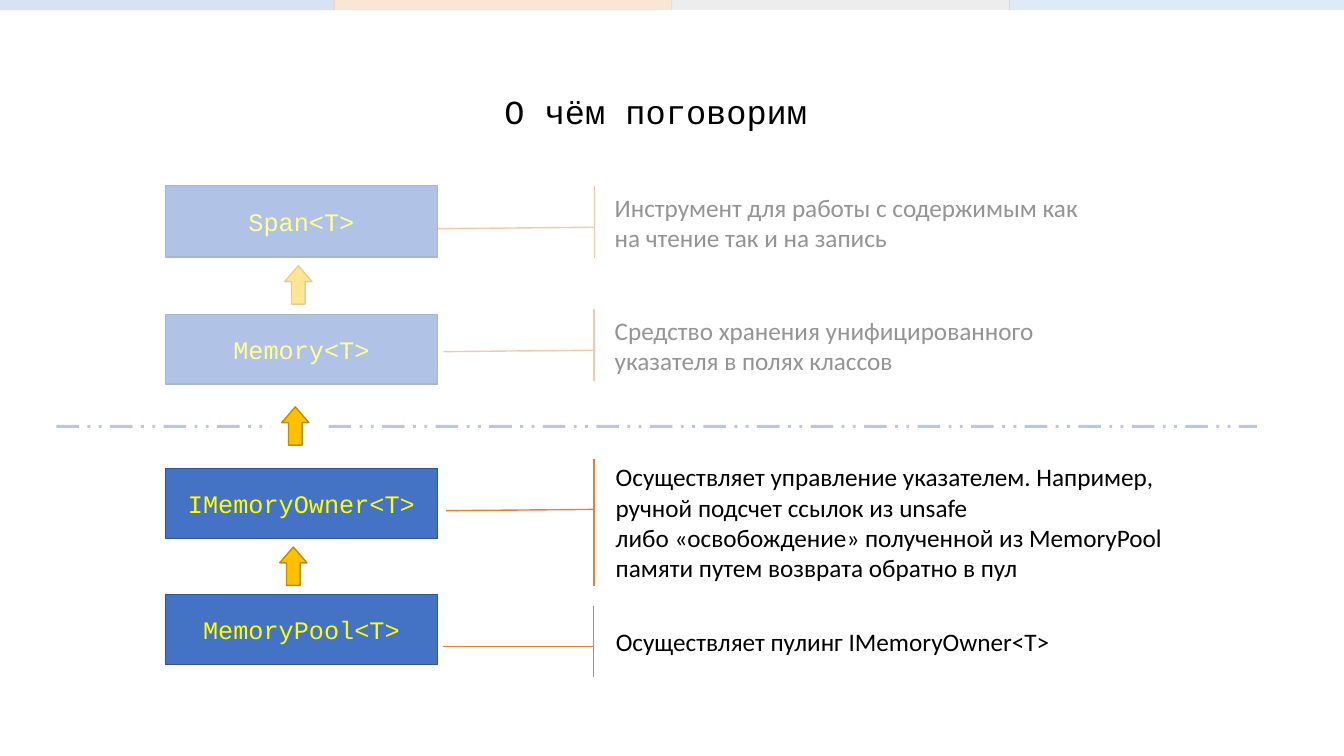
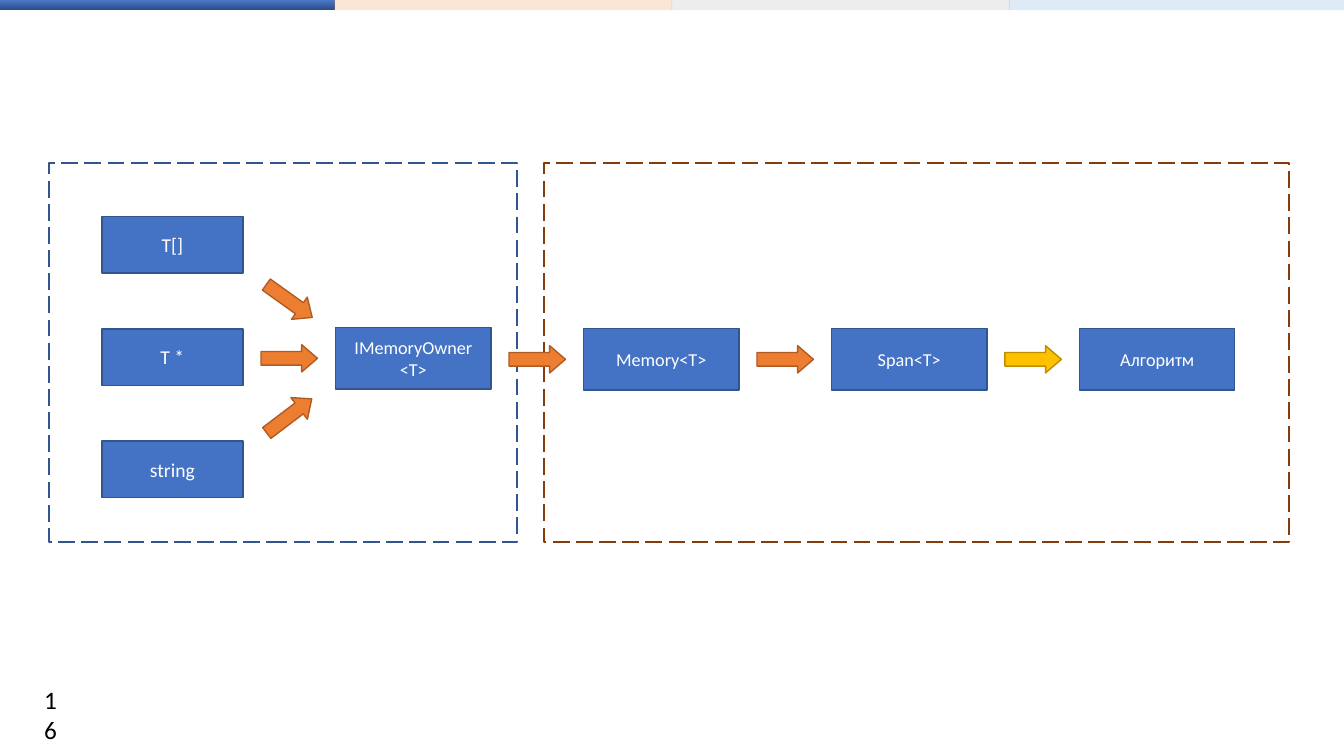
import copy
from dataclasses import dataclass

import pptx
import pptx.dml.color
import pptx.enum.dml
import pptx.enum.shapes
import pptx.enum.text
import pptx.oxml.ns
import pptx.util
from lxml import etree

SHAPE = pptx.enum.shapes.MSO_SHAPE
ALIGN = pptx.enum.text.PP_ALIGN
ANCHOR = pptx.enum.text.MSO_ANCHOR
DASH = pptx.enum.dml.MSO_LINE
qn = pptx.oxml.ns.qn

COLUMNS, ROWS = 40, 22.5
SLIDE_WIDTH, SLIDE_HEIGHT = pptx.util.Inches(13.33), pptx.util.Inches(7.5)


@dataclass(frozen=True)
class Theme:
    blue: str = "4472C4"
    blue_edge: str = "325491"
    orange: str = "ED7D31"
    orange_edge: str = "AF5C24"
    brown: str = "843C0B"
    gold: str = "FFC000"
    gold_edge: str = "BD8E00"
    grey: str = "A5A5A5"
    sky: str = "5B9BD5"
    yellow: str = "FFFF00"
    black: str = "000000"
    white: str = "FFFFFF"
    active_band: tuple = ((0, "2A4B86"), (0.48, "4A76C6"), (1, "8FAADC"))
    body_font: str = "Calibri"
    code_font: str = "Courier New"
    title_size: int = 24
    body_size: int = 18
    source_size: int = 14
    stage_size: int = 13


THEME = Theme()
GOLD = (THEME.gold, THEME.gold_edge)
ORANGE = (THEME.orange, THEME.orange_edge)


@dataclass(frozen=True)
class Box:
    """A rectangle in grid columns and rows."""
    x: float
    y: float
    w: float
    h: float

    def inner(self, x, y, w, h):
        return Box(self.x + x, self.y + y, w, h)

    def emu(self):
        return (across(self.x), down(self.y), across(self.w), down(self.h))


def across(columns):
    return round(SLIDE_WIDTH * columns / COLUMNS)


def down(rows):
    return round(SLIDE_HEIGHT * rows / ROWS)


def rgb(code):
    return pptx.dml.color.RGBColor.from_string(code)


def set_opacity(drawn, percent):
    color = drawn.element.spPr.find(".//" + qn("a:srgbClr"))
    etree.SubElement(color, qn("a:alpha")).set("val", str(percent * 1000))


def write(holder, text, *, size=THEME.body_size, font=THEME.body_font,
          color=THEME.black, align=ALIGN.LEFT, anchor=ANCHOR.MIDDLE):
    frame = holder.text_frame
    frame.word_wrap = True
    frame.vertical_anchor = anchor
    frame.text = text
    for paragraph in frame.paragraphs:
        paragraph.alignment = align
        for run in paragraph.runs:
            run.font.size = pptx.util.Pt(size)
            run.font.name = font
            run.font.color.rgb = rgb(color)


def add_text(slide, box, text, **style):
    write(slide.shapes.add_textbox(*box.emu()), text, anchor=ANCHOR.TOP, **style)


def add_figure(slide, box, *, kind=SHAPE.RECTANGLE, fill=None, edge=None,
               width=1, dash=None, opacity=None):
    figure = slide.shapes.add_shape(kind, *box.emu())
    figure.shadow.inherit = False
    if fill:
        figure.fill.solid()
        figure.fill.fore_color.rgb = rgb(fill)
        if opacity:
            set_opacity(figure, opacity)
    else:
        figure.fill.background()
    if edge:
        figure.line.color.rgb = rgb(edge)
        figure.line.width = pptx.util.Pt(width)
        if dash:
            figure.line.dash_style = dash
    else:
        figure.line.fill.background()
    return figure


def add_block(slide, box, label, **style):
    block = add_figure(slide, box, fill=THEME.blue, edge=THEME.blue_edge)
    write(block, label, align=ALIGN.CENTER, **style)


def add_arrow(slide, center_x, center_y, colors, *, length=1.68, turn=0):
    thickness = 0.81
    box = Box(center_x - length / 2, center_y - thickness / 2, length, thickness)
    arrow = add_figure(slide, box, kind=SHAPE.RIGHT_ARROW, fill=colors[0], edge=colors[1])
    arrow.adjustments[1] = 0.58
    arrow.rotation = turn


def add_callout(slide, box, text, leader):
    """Text beside an accent bar; leader holds the y, x shares of its line's ends."""
    callout = add_figure(slide, box, kind=SHAPE.LINE_CALLOUT_1_ACCENT_BAR,
                         fill=THEME.white, edge=THEME.orange)
    for index, share in enumerate(leader):
        callout.adjustments[index] = share
    write(callout, text)


def add_divider(slide, start, end, row):
    divider = slide.shapes.add_connector(pptx.enum.shapes.MSO_CONNECTOR.STRAIGHT,
                                         across(start), down(row), across(end), down(row))
    divider.line.color.rgb = rgb(THEME.blue)
    divider.line.width = pptx.util.Pt(2)
    divider.line.dash_style = DASH.DASH_DOT_DOT
    set_opacity(divider, 39)
    etree.SubElement(divider.element.spPr, qn("a:effectLst"))


def fill_gradient(figure, stops):
    figure.fill.gradient()
    figure.fill.gradient_angle = 90
    stop_list = figure.element.spPr.find(".//" + qn("a:gsLst"))
    while len(stop_list) < len(stops):
        stop_list.append(copy.deepcopy(stop_list[-1]))
    for stop, (position, color) in zip(figure.fill.gradient_stops, stops):
        stop.position = position
        stop.color.rgb = rgb(color)


def section_bands(slide, box, active=None):
    pitch = box.w / 4
    for index, color in enumerate((THEME.blue, THEME.orange, THEME.grey, THEME.sky)):
        band = add_figure(slide, box.inner(index * pitch, 0, pitch + 0.03, box.h),
                          fill=color, opacity=20)
        if index == active:
            fill_gradient(band, THEME.active_band)


def type_ladder(slide, box):
    """Stacked types, each with an explanation, joined by upward arrows."""
    # label, top, height, callout (x, y, w, h), leader, explanation
    layers = (
        ("Span<T>", 0, 2.13, (13.08, 0.03, 15.06, 2.13), (0.57, -0.02, 0.59, -0.33),
         "Инструмент для работы с содержимым как на чтение так и на запись"),
        ("Memory<T>", 3.84, 2.07, (13.08, 3.69, 16.02, 2.13), (0.57, -0.02, 0.59, -0.3),
         "Средство хранения унифицированного указателя в полях классов"),
        ("IMemoryOwner<T>", 8.43, 2.07, (13.11, 8.13, 17.61, 3.78), (0.4, -0.02, 0.41, -0.27),
         "Осуществляет управление указателем. Например, ручной подсчет ссылок из unsafe\n"
         "либо «освобождение» полученной из MemoryPool памяти путем возврата обратно в пул"),
        ("MemoryPool<T>", 12.18, 2.07, (13.11, 12.51, 18.63, 2.13), (0.57, -0.02, 0.57, -0.26),
         "Осуществляет пулинг IMemoryOwner<T>"),
    )
    for label, top, height, note_box, leader, note in layers:
        add_block(slide, box.inner(0, top, 8.1, height), label,
                  font=THEME.code_font, color=THEME.yellow)
        add_callout(slide, box.inner(*note_box), note, leader)
    for x, y in ((3.96, 2.96), (3.87, 7.16), (3.81, 11.33)):
        add_arrow(slide, box.x + x, box.y + y, GOLD, length=1.14, turn=270)
    for start, end in ((4.86, 32.49), (-3.24, 3.15)):
        add_divider(slide, box.x + start, box.x + end, box.y + 7.17)
    add_figure(slide, box.inner(-1.32, -0.87, 32.04, 7.32), fill=THEME.white, opacity=58)


def add_stage(slide, box, label, arrow_colors):
    """A pipeline step with the arrow that leads into it."""
    add_block(slide, box, label, size=THEME.stage_size, color=THEME.white)
    add_arrow(slide, box.x - 1.38, box.y + box.h / 2, arrow_colors)


def owner_region(slide, box):
    add_figure(slide, box, edge=THEME.blue_edge, width=1.5, dash=DASH.LONG_DASH)
    for index, source in enumerate(("T[]", "T *", "string")):
        add_block(slide, box.inner(1.56, 1.59 + 3.34 * index, 4.2, 1.68), source,
                  size=THEME.source_size, color=THEME.white)
    for y, turn in ((4.1, 35.6), (7.52, 322.8)):
        add_arrow(slide, box.x + 7.14, box.y + y, ORANGE, turn=turn)
    add_stage(slide, box.inner(8.52, 4.89, 4.62, 1.83), "IMemoryOwner <T>", ORANGE)


def consumer_region(slide, box):
    add_figure(slide, box, edge=THEME.brown, width=1.5, dash=DASH.LONG_DASH)
    stages = (("Memory<T>", ORANGE), ("Span<T>", ORANGE), ("Алгоритм", GOLD))
    for index, (label, colors) in enumerate(stages):
        add_stage(slide, box.inner(1.17 + 7.38 * index, 4.92, 4.62, 1.83), label, colors)


def new_slide(deck, active=None):
    slide = deck.slides.add_slide(deck.slide_layouts[6])
    section_bands(slide, Box(-0.12, -0.3, 40.2, 0.6), active)
    return slide


def topics_slide(deck):
    slide = new_slide(deck)
    add_text(slide, Box(9.3, 2.55, 20.43, 1.5), "О чём поговорим", size=THEME.title_size,
             font=THEME.code_font, align=ALIGN.CENTER)
    type_ladder(slide, Box(4.92, 5.52, 31.74, 14.64))


def pipeline_slide(deck):
    slide = new_slide(deck, active=0)
    owner_region(slide, Box(1.47, 4.86, 13.92, 11.28))
    consumer_region(slide, Box(16.2, 4.86, 22.17, 11.28))
    add_text(slide, Box(1.02, 20.22, 0.99, 1.2), "16")


def main():
    deck = pptx.Presentation()
    deck.slide_width, deck.slide_height = SLIDE_WIDTH, SLIDE_HEIGHT
    topics_slide(deck)
    pipeline_slide(deck)
    deck.save("out.pptx")


if __name__ == "__main__":
    main()
